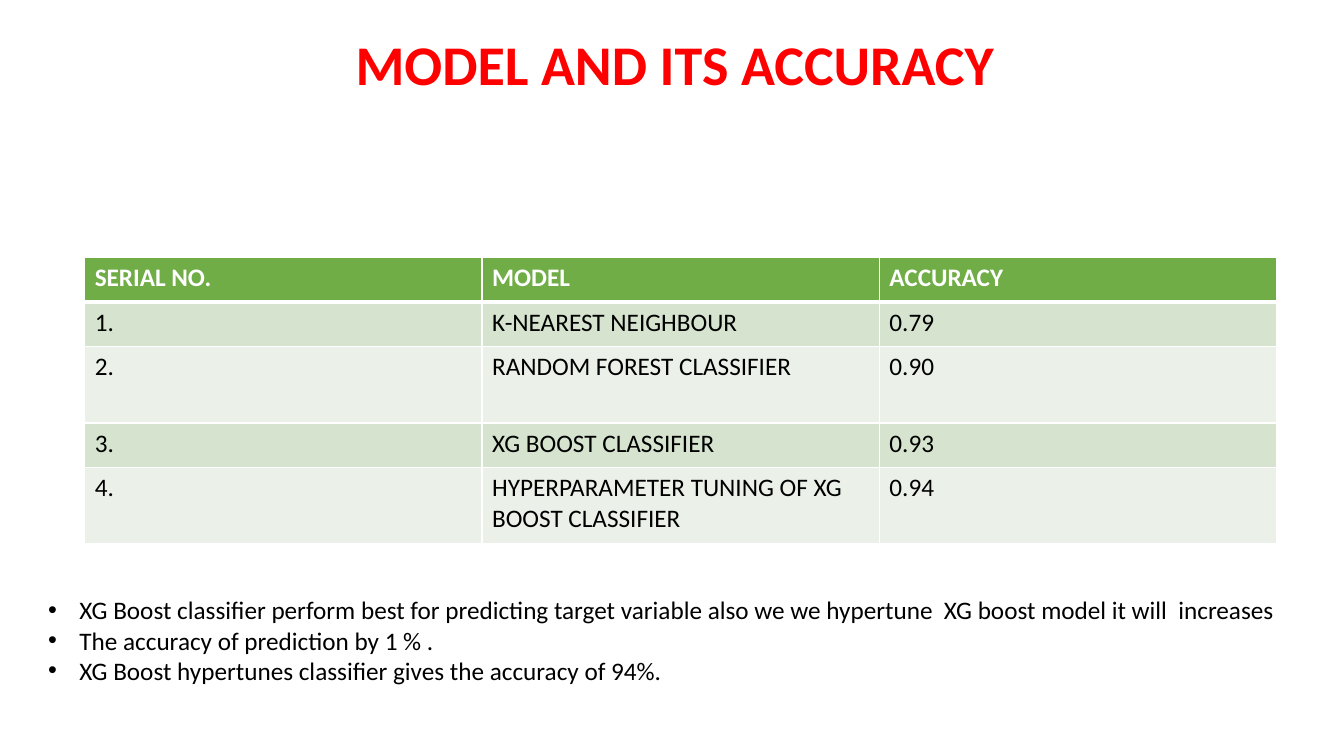
import dataclasses

import pptx
import pptx.dml.color
import pptx.enum.text
import pptx.oxml
import pptx.oxml.ns
import pptx.util
from lxml import etree


@dataclasses.dataclass(frozen=True)
class Theme:
    font: str = "Calibri"
    title_size: int = 40
    body_size: int = 18
    title: str = "FF0000"
    text: str = "000000"
    light: str = "FFFFFF"
    header: str = "70AD47"
    bands: tuple = ("D5E3CF", "EBF1E9")
    rule: int = 1
    header_rule: int = 3


THEME = Theme()
WIDTH, HEIGHT = pptx.util.Inches(13.33), pptx.util.Inches(7.5)
TITLE = "MODEL AND ITS ACCURACY"
RESULTS = [
    ("SERIAL NO.", "MODEL", "ACCURACY"),
    ("1.", "K-NEAREST NEIGHBOUR", "0.79"),
    ("2.", "RANDOM FOREST CLASSIFIER", "0.90"),
    ("3.", "XG BOOST CLASSIFIER ", "0.93"),
    ("4.", "HYPERPARAMETER TUNING OF XG BOOST CLASSIFIER", "0.94"),
]
SHORT_ROW, TALL_ROW = 0.44, 0.76
ROW_HEIGHTS = (SHORT_ROW, SHORT_ROW, TALL_ROW, SHORT_ROW, TALL_ROW)
FINDINGS = [
    "XG Boost classifier perform best for predicting target variable also we we hypertune  XG boost model it will  increases ",
    "The accuracy of prediction by 1 % .",
    "XG Boost hypertunes classifier gives the accuracy of 94%.",
]


def area(left, top, width, height):
    return [round(share * side) for share, side in
            zip((left, top, width, height), (WIDTH, HEIGHT, WIDTH, HEIGHT))]


def rgb(value):
    return pptx.dml.color.RGBColor.from_string(value)


def add_run(paragraph, wording, size, color, bold=False):
    run = paragraph.add_run()
    run.text = wording
    run.font.name = THEME.font
    run.font.size = pptx.util.Pt(size)
    run.font.bold = bold
    run.font.color.rgb = rgb(color)


def place_title(slide):
    heading = slide.shapes.title
    heading.left, heading.top, heading.width, heading.height = area(0.069, 0.033, 0.866, 0.103)
    frame = heading.text_frame
    frame.word_wrap = True
    frame.auto_size = pptx.enum.text.MSO_AUTO_SIZE.NONE
    frame.vertical_anchor = pptx.enum.text.MSO_ANCHOR.TOP
    paragraph = frame.paragraphs[0]
    paragraph.alignment = pptx.enum.text.PP_ALIGN.CENTER
    paragraph.line_spacing = 1.0
    paragraph.space_before = pptx.util.Pt(0)
    add_run(paragraph, TITLE, THEME.title_size, THEME.title, True)


def set_borders(cell, top, bottom):
    properties = cell._tc.get_or_add_tcPr()
    widths = {"lnL": THEME.rule, "lnR": THEME.rule, "lnT": top, "lnB": bottom}
    for position, (edge, points) in enumerate(widths.items()):
        line = etree.Element(pptx.oxml.ns.qn(f"a:{edge}"), w=str(pptx.util.Pt(points)))
        fill = etree.SubElement(line, pptx.oxml.ns.qn("a:solidFill"))
        etree.SubElement(fill, pptx.oxml.ns.qn("a:srgbClr"), val=THEME.light)
        properties.insert(position, line)


def add_results(slide):
    box = area(0.063, 0.341, 0.887, 0.38)
    table = slide.shapes.add_table(len(RESULTS), len(RESULTS[0]), *box).table
    for row, height in zip(table.rows, ROW_HEIGHTS):
        row.height = pptx.util.Inches(height)
    for row_index, entries in enumerate(RESULTS):
        is_header = row_index == 0
        background = THEME.header if is_header else THEME.bands[(row_index - 1) % 2]
        top = THEME.header_rule if row_index == 1 else THEME.rule
        bottom = THEME.header_rule if is_header else THEME.rule
        for column_index, entry in enumerate(entries):
            cell = table.cell(row_index, column_index)
            cell.fill.solid()
            cell.fill.fore_color.rgb = rgb(background)
            set_borders(cell, top, bottom)
            add_run(cell.text_frame.paragraphs[0], entry, THEME.body_size,
                    THEME.light if is_header else THEME.text, is_header)


def add_findings(slide):
    frame = slide.shapes.add_textbox(*area(0.0285, 0.78, 0.9535, 0.135)).text_frame
    frame.word_wrap = True
    indent = pptx.util.Inches(0.31)
    for index, finding in enumerate(FINDINGS):
        paragraph = frame.add_paragraph() if index else frame.paragraphs[0]
        properties = paragraph._p.get_or_add_pPr()
        properties.set("marL", str(indent))
        properties.set("indent", str(-indent))
        etree.SubElement(properties, pptx.oxml.ns.qn("a:buFont"), typeface="Arial")
        etree.SubElement(properties, pptx.oxml.ns.qn("a:buChar"), char="•")
        add_run(paragraph, finding, THEME.body_size, THEME.text)


def main():
    deck = pptx.Presentation()
    deck.slide_width, deck.slide_height = WIDTH, HEIGHT
    slide = deck.slides.add_slide(deck.slide_layouts[5])
    place_title(slide)
    add_results(slide)
    add_findings(slide)
    deck.save("out.pptx")


main()
